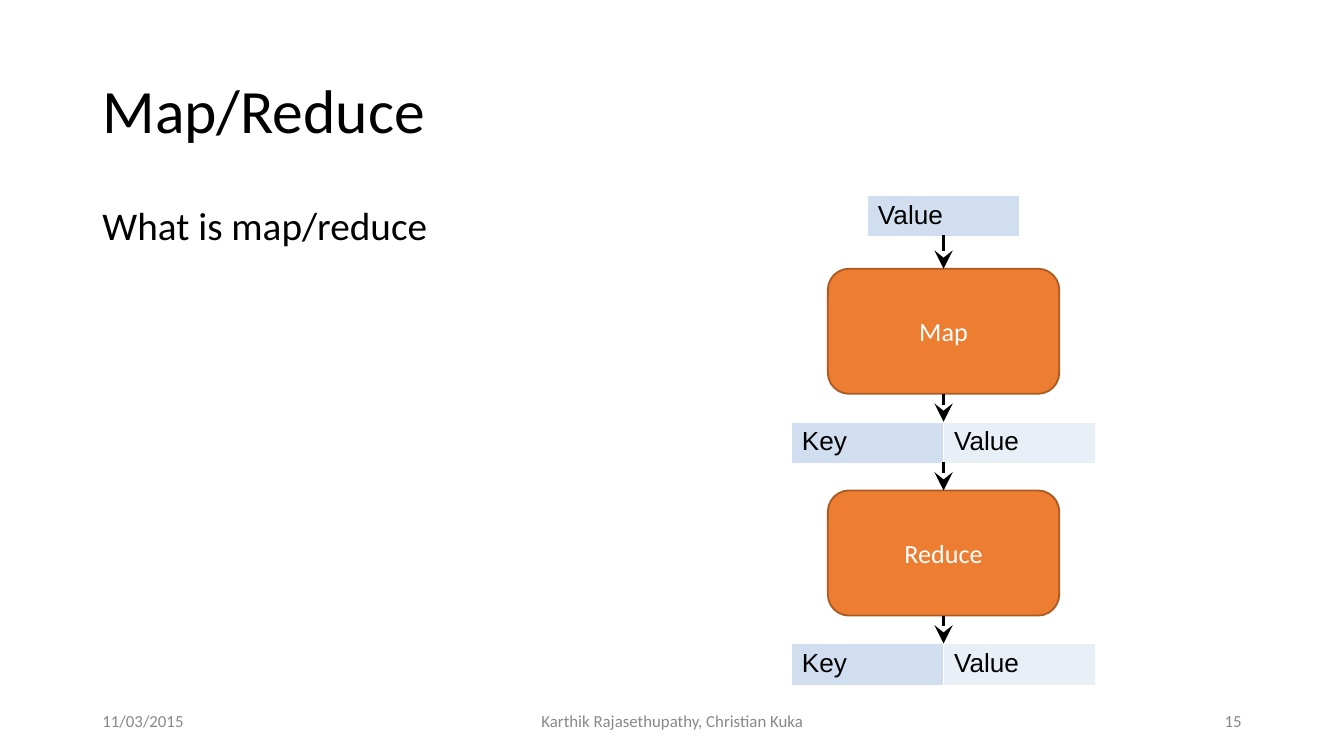
import lxml.etree
import pptx
import pptx.dml.color
import pptx.enum.shapes
import pptx.enum.text
import pptx.oxml
import pptx.oxml.ns
import pptx.util

Pt = pptx.util.Pt
ALIGN = pptx.enum.text.PP_ALIGN
ANCHOR = pptx.enum.text.MSO_ANCHOR
CENTER_X = 505.5
BOX_W, BOX_H = 124, 67
CELL_W, CELL_H = 81.5, 21.6
CELL_FILLS = ["D0DEEF", "E9EFF7"]


def rgb(value):
    """Return the colour for a hex string."""
    return pptx.dml.color.RGBColor.from_string(value)


def set_text(tf, text, size, color, align=ALIGN.LEFT, anchor=ANCHOR.MIDDLE, spacing=1.0):
    """Fill a text frame with one Calibri paragraph."""
    tf.word_wrap = True
    tf.vertical_anchor = anchor
    tf.margin_left = tf.margin_right = Pt(5.4)
    tf.margin_top = tf.margin_bottom = Pt(2.7)
    tf.text = text
    p = tf.paragraphs[0]
    p.alignment = align
    p.line_spacing = spacing
    font = p.runs[0].font
    font.name, font.size = "Calibri", Pt(size)
    font.color.rgb = rgb(color)


def add_text(slide, left, top, width, height, text, size, color, **style):
    """Add a text box."""
    sp = slide.shapes.add_textbox(Pt(left), Pt(top), Pt(width), Pt(height))
    set_text(sp.text_frame, text, size, color, **style)


def add_step(slide, top, text):
    """Add a rounded processing box centred on the flow."""
    sp = slide.shapes.add_shape(
        pptx.enum.shapes.MSO_SHAPE.ROUNDED_RECTANGLE,
        Pt(CENTER_X - BOX_W / 2), Pt(top), Pt(BOX_W), Pt(BOX_H))
    sp.adjustments[0] = 0.17
    sp.shadow.inherit = False
    sp.fill.solid()
    sp.fill.fore_color.rgb = rgb("ED7D31")
    sp.line.color.rgb = rgb("AC5B23")
    sp.line.width = Pt(1)
    set_text(sp.text_frame, text, 14, "FFFFFF", align=ALIGN.CENTER)
    return sp


def set_borders(cell, color):
    """Give a table cell a one-point border on every side."""
    tc_pr = cell._tc.get_or_add_tcPr()
    for side in ("lnL", "lnR", "lnT", "lnB"):
        ln = lxml.etree.SubElement(tc_pr, pptx.oxml.ns.qn(f"a:{side}"), w=str(Pt(1)))
        fill = lxml.etree.SubElement(ln, pptx.oxml.ns.qn("a:solidFill"))
        lxml.etree.SubElement(fill, pptx.oxml.ns.qn("a:srgbClr"), val=color)


def add_record(slide, top, labels):
    """Add a one-row table centred on the flow."""
    width = CELL_W * len(labels)
    table = slide.shapes.add_table(
        1, len(labels), Pt(CENTER_X - width / 2), Pt(top), Pt(width), Pt(CELL_H)).table
    table.first_row = table.horz_banding = False
    for i, label in enumerate(labels):
        table.columns[i].width = Pt(CELL_W)
        cell = table.cell(0, i)
        cell.margin_left = cell.margin_right = Pt(5.6)
        cell.margin_top = cell.margin_bottom = Pt(2.8)
        set_borders(cell, "FFFFFF")
        cell.fill.solid()
        cell.fill.fore_color.rgb = rgb(CELL_FILLS[i])
        cell.text = label
        font = cell.text_frame.paragraphs[0].runs[0].font
        font.name, font.size = "Arial", Pt(14)
        font.color.rgb = rgb("000000")


def add_arrow(slide, start, end, source=None, target=None):
    """Add a downward arrow, joined to the given boxes."""
    line = slide.shapes.add_connector(
        pptx.enum.shapes.MSO_CONNECTOR.STRAIGHT,
        Pt(CENTER_X), Pt(start), Pt(CENTER_X), Pt(end))
    if source is not None:
        line.begin_connect(source, 2)
    if target is not None:
        line.end_connect(target, 0)
    line.line.color.rgb = rgb("000000")
    line.line.width = Pt(1.5)
    ln = line.line._get_or_add_ln()
    lxml.etree.SubElement(
        ln, pptx.oxml.ns.qn("a:tailEnd"), type="stealth", w="lg", len="lg")
    lxml.etree.SubElement(line._element.spPr, pptx.oxml.ns.qn("a:effectLst"))


def main():
    """Build the slide."""
    prs = pptx.Presentation()
    prs.slide_width, prs.slide_height = Pt(720), Pt(405)
    slide = prs.slides.add_slide(prs.slide_layouts[6])

    add_text(slide, 49.5, 21.6, 621, 78.3, "Map/Reduce", 33, "000000", spacing=0.9)
    add_text(slide, 49.5, 108, 306, 257, "What is map/reduce", 21, "000000",
             anchor=ANCHOR.TOP, spacing=0.9)

    add_record(slide, 104.5, ["Value"])
    add_arrow_start = 104.5 + CELL_H
    for top, name in ((144, "Map"), (262.8, "Reduce")):
        step = add_step(slide, top, name)
        bottom = top + BOX_H
        record_top = bottom + 15
        add_record(slide, record_top, ["Key", "Value"])
        add_arrow(slide, add_arrow_start, top, target=step)
        add_arrow(slide, bottom, record_top, source=step)
        add_arrow_start = record_top + CELL_H

    footers = (
        (49.5, 162, "11/03/2015", ALIGN.LEFT),
        (238.5, 243, "Karthik Rajasethupathy, Christian Kuka", ALIGN.CENTER),
        (508.5, 162, "15", ALIGN.RIGHT),
    )
    for left, width, text, align in footers:
        add_text(slide, left, 375.4, width, 21.6, text, 9, "888888", align=align)

    prs.save("out.pptx")


if __name__ == "__main__":
    main()
